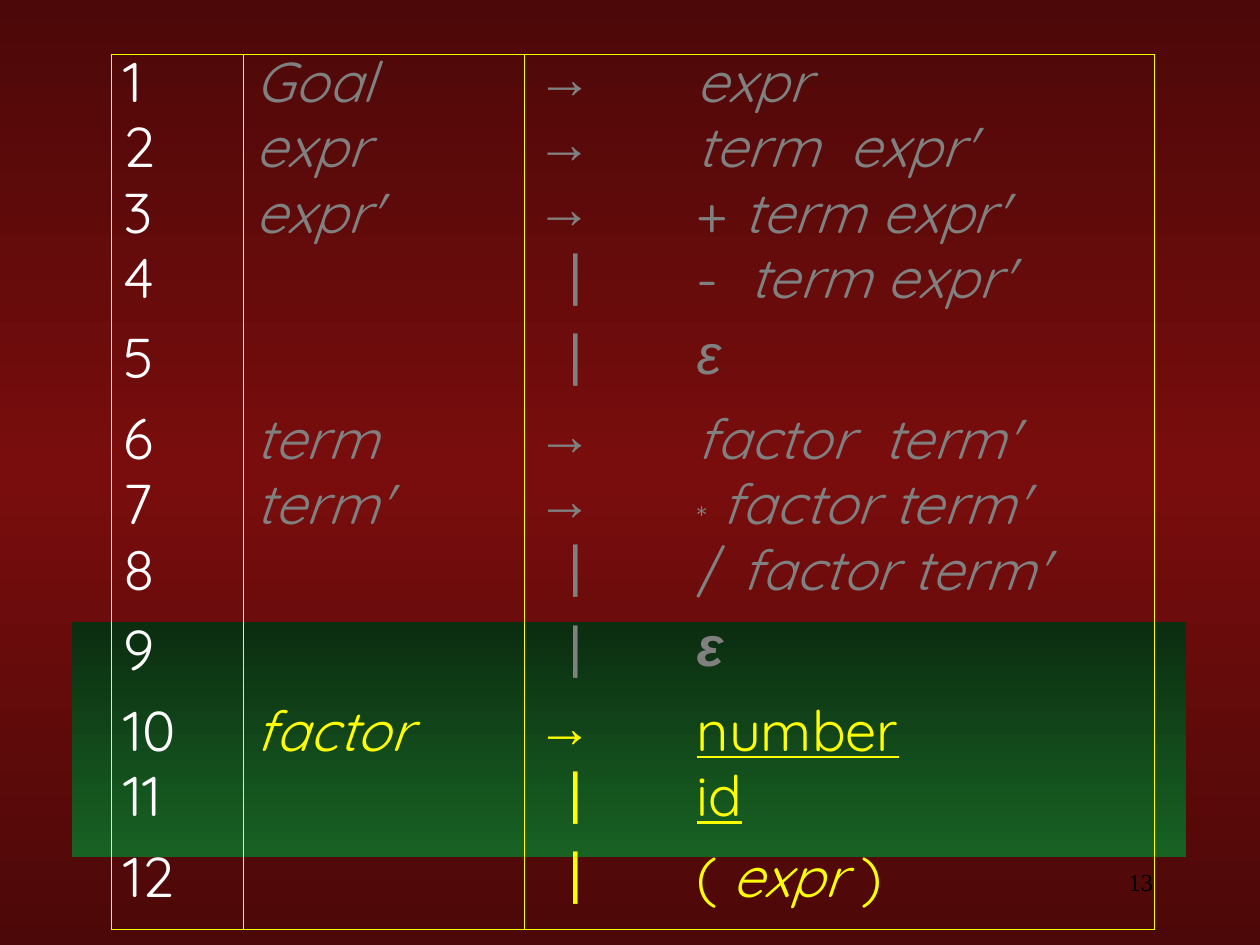
import dataclasses

import lxml.etree
import pptx
import pptx.dml.color
import pptx.enum.shapes
import pptx.enum.text
import pptx.oxml.ns
import pptx.util

Inches, Pt, qn = pptx.util.Inches, pptx.util.Pt, pptx.oxml.ns.qn


@dataclasses.dataclass(frozen=True)
class Theme:
    background: tuple = ("4C0808", "790D0D", "4C0808")
    band: tuple = ("0B2D10", "186224")
    number: str = "FFFFFF"
    dimmed: str = "808080"
    active: str = "FFFF00"
    border: str = "FFFF00"
    page: str = "000000"
    font: str = "Quicksand"
    symbol_font: str = "Arial"
    page_font: str = "Times New Roman"
    size: int = 32
    page_size: int = 14
    border_width: float = 0.45


THEME = Theme()
COLUMNS = (1.05, 2.23, 1.27, 3.73)
LOW, TALL = 0.5, 0.64
FIRST_ACTIVE = 10
NO_STYLE = "{2D5ABB26-0587-4C30-8999-92F81FD0307C}"

# Run marks: i italic, b bold, u underlined, a symbol font, s lowered
ARROW, BOLD_ARROW, BAR = ("→", "a"), ("→", "ab"), ("|", "a")
# Each rule: left side, operator, runs of the right side, row height
RULES = [
    ("Goal", BOLD_ARROW, [("expr", "i")], LOW),
    ("expr", ARROW, [("term  expr'", "i")], LOW),
    ("expr'", ARROW, [("+", ""), (" term expr'", "i")], LOW),
    ("", BAR, [("-", ""), ("  term expr'", "i")], TALL),
    ("", BAR, [("ε", "ai")], TALL),
    ("term", BOLD_ARROW, [("factor  term'", "i")], LOW),
    ("term'", BOLD_ARROW, [("*", "s"), (" factor term'", "i")], LOW),
    ("", BAR, [("∕", ""), (" factor term'", "i")], TALL),
    ("", BAR, [("ε", "abi")], TALL),
    ("factor", BOLD_ARROW, [("number", "u")], LOW),
    ("", BAR, [("id", "u")], TALL),
    ("", BAR, [("( ", ""), ("expr", "i"), (" )", "")], TALL),
]


def rgb(value):
    return pptx.dml.color.RGBColor.from_string(value)


def add_color(parent, value):
    lxml.etree.SubElement(parent, qn("a:srgbClr"), val=value)


def set_gradient(fill, root, colors):
    """Vertical gradient with evenly spaced stops."""
    fill.gradient()
    fill.gradient_angle = 270
    stops = next(root.iter(qn("a:gsLst")))
    for old in list(stops):
        stops.remove(old)
    for i, color in enumerate(colors):
        pos = str(100000 * i // (len(colors) - 1))
        add_color(lxml.etree.SubElement(stops, qn("a:gs"), pos=pos), color)


def set_borders(cell, sides):
    tc_pr = cell._tc.get_or_add_tcPr()
    for side in sides:
        ln = lxml.etree.SubElement(tc_pr, qn("a:ln" + side),
                                   w=str(Pt(THEME.border_width)))
        add_color(lxml.etree.SubElement(ln, qn("a:solidFill")), THEME.border)
    cell.fill.background()


def write_cell(cell, runs, color):
    p = cell.text_frame.paragraphs[0]
    p.line_spacing = 0.75
    if runs == [BAR]:
        p._p.get_or_add_pPr().set("marL", str(Inches(0.25)))
    for text, marks in runs:
        r = p.add_run()
        r.text = text
        r.font.name = THEME.symbol_font if "a" in marks else THEME.font
        r.font.size = Pt(THEME.size)
        r.font.color.rgb = rgb(color)
        r.font.bold = "b" in marks
        r.font.italic = "i" in marks
        r.font.underline = "u" in marks
        if "s" in marks:
            r._r.get_or_add_rPr().set("baseline", "-8000")


def border_sides(row, col):
    """Outer frame plus a line after the number column."""
    last_row, last_col = len(RULES) - 1, len(COLUMNS) - 1
    tests = (("L", col < 2), ("R", col in (0, last_col)),
             ("T", row == 0), ("B", row == last_row))
    return [side for side, drawn in tests if drawn]


def add_band(slide):
    sp = slide.shapes.add_shape(pptx.enum.shapes.MSO_SHAPE.RECTANGLE, Inches(0.57),
                                Inches(4.94), Inches(8.84), Inches(1.86))
    sp.shadow.inherit = False
    sp.line.fill.background()
    set_gradient(sp.fill, sp.element, THEME.band)


def add_grammar(slide):
    height = sum(rule[-1] for rule in RULES)
    table = slide.shapes.add_table(
        len(RULES), len(COLUMNS), Inches(0.88), Inches(0.43),
        Inches(sum(COLUMNS)), Inches(height)).table
    table.first_row = table.horz_banding = False
    next(table._tbl.iter(qn("a:tableStyleId"))).text = NO_STYLE
    for col, width in enumerate(COLUMNS):
        table.columns[col].width = Inches(width)
    for row, (left, operator, right, row_height) in enumerate(RULES):
        table.rows[row].height = Inches(row_height)
        color = THEME.active if row + 1 >= FIRST_ACTIVE else THEME.dimmed
        contents = ([(str(row + 1), "")], [(left, "i")] if left else [],
                    [operator], right)
        for col, runs in enumerate(contents):
            cell = table.cell(row, col)
            write_cell(cell, runs, color if col else THEME.number)
            set_borders(cell, border_sides(row, col))


def add_page_number(slide, text):
    tf = slide.shapes.add_textbox(Inches(7.17), Inches(6.83),
                                  Inches(2.08), Inches(0.5)).text_frame
    tf.word_wrap = True
    tf.text = text
    p = tf.paragraphs[0]
    p.alignment = pptx.enum.text.PP_ALIGN.RIGHT
    p.runs[0].font.name = THEME.page_font
    p.runs[0].font.size = Pt(THEME.page_size)
    p.runs[0].font.color.rgb = rgb(THEME.page)


def main():
    prs = pptx.Presentation()
    prs.slide_width, prs.slide_height = Inches(10), Inches(7.5)
    slide = prs.slides.add_slide(prs.slide_layouts[6])
    set_gradient(slide.background.fill, slide.element, THEME.background)
    add_band(slide)
    add_grammar(slide)
    add_page_number(slide, "13")
    prs.save("out.pptx")


if __name__ == "__main__":
    main()
